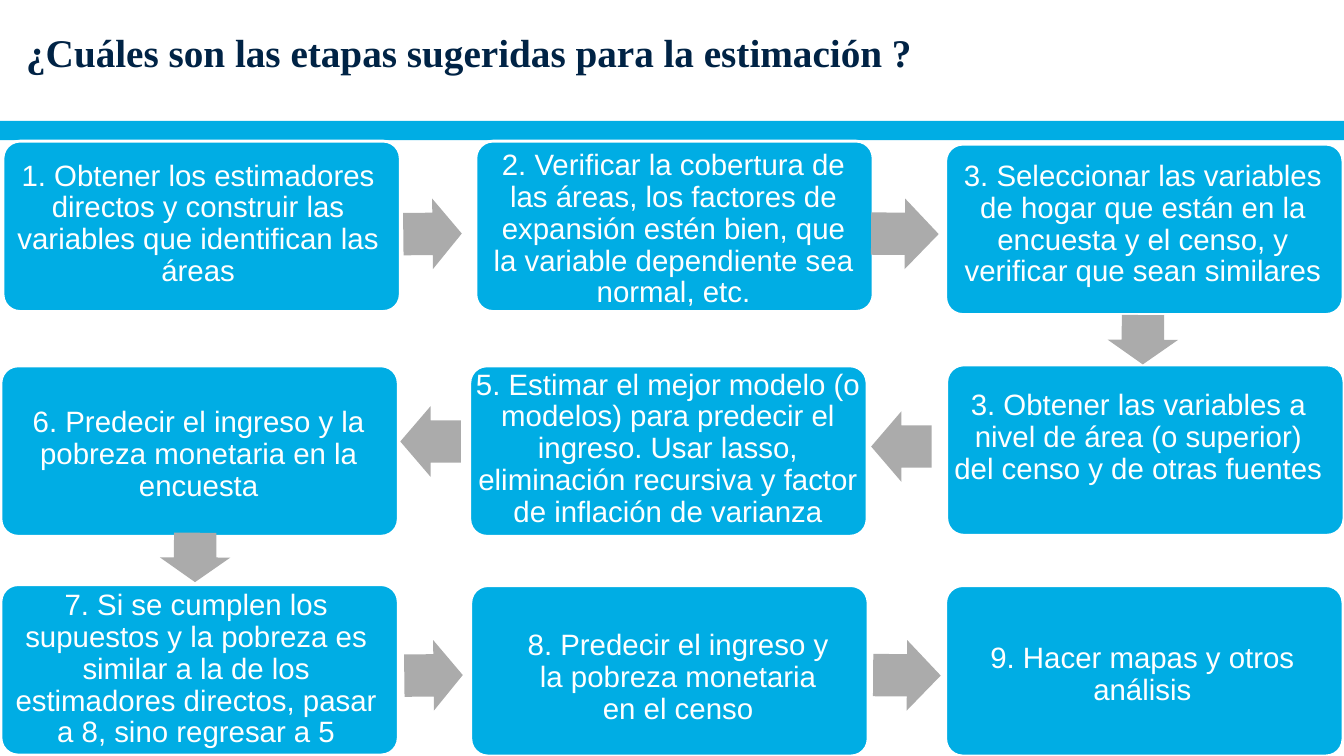
from pptx import Presentation
from pptx.dml.color import RGBColor
from pptx.enum.shapes import MSO_SHAPE
from pptx.enum.text import MSO_ANCHOR, PP_ALIGN
from pptx.util import Inches, Pt

CYAN = RGBColor(0x00, 0xAD, 0xE4)
GRAY = RGBColor(0xAB, 0xAB, 0xAB)
NAVY = RGBColor(0x00, 0x23, 0x45)
WHITE = RGBColor(0xFF, 0xFF, 0xFF)
RECTANGLE = MSO_SHAPE.RECTANGLE
ROUNDED = MSO_SHAPE.ROUNDED_RECTANGLE
RIGHT_ARROW = MSO_SHAPE.RIGHT_ARROW
MIDDLE, BOTTOM = MSO_ANCHOR.MIDDLE, MSO_ANCHOR.BOTTOM
LEFT, CENTER = PP_ALIGN.LEFT, PP_ALIGN.CENTER

STEP_WIDTH, STEP_HEIGHT = 3.94, 1.69
ARROW_BREADTH = 0.7

STEPS = [
    ("1. Obtener los estimadores directos y construir las variables que identifican las áreas",
     (0.03, 1.4), (0.01, 1.36, 3.91, 1.73)),
    ("2. Verificar la cobertura de las áreas, los factores de expansión estén bien, "
     "que la variable dependiente sea normal, etc.",
     (4.72, 1.4), (4.76, 1.48, 3.84, 1.6)),
    ("3. Seleccionar las variables de hogar que están en la encuesta y el censo, "
     "y verificar que sean similares",
     (9.38, 1.43), (9.43, 1.48, 3.81, 1.5)),
    ("3. Obtener las variables a nivel de área (o superior) del censo y de otras fuentes",
     (9.39, 3.62), (9.37, 3.55, 3.84, 1.59)),
    ("5. Estimar el mejor modelo (o modelos) para predecir el ingreso. Usar lasso, "
     "eliminación recursiva y factor de inflación de varianza",
     (4.66, 3.63), (4.61, 3.66, 4.03, 1.59)),
    ("6. Predecir el ingreso y la pobreza monetaria en la encuesta",
     (0.01, 3.63), (0.03, 3.71, 3.88, 1.61)),
    ("7. Si se cumplen los supuestos y la pobreza es similar a la de los estimadores "
     "directos, pasar a 8, sino regresar a 5",
     (0.01, 5.8), (-0.05, 5.85, 3.99, 1.59)),
    ("8. Predecir el ingreso y la pobreza monetaria en el censo",
     (4.67, 5.81), (5.1, 5.93, 3.25, 1.59)),
    ("9. Hacer mapas y otros análisis",
     (9.38, 5.81), (9.41, 5.9, 3.84, 1.6)),
]

ARROWS = [
    (4, 1.97, 0.58, 359.4),
    (8.64, 1.97, 0.67, 0.4),
    (11.09, 3.02, 0.49, 90.2),
    (8.64, 4.08, 0.6, 180),
    (3.97, 4.03, 0.6, 180),
    (1.69, 5.18, 0.49, 90.2),
    (4.01, 6.35, 0.58, 359.4),
    (8.66, 6.35, 0.67, 0.4),
]


def add_block(slide, preset, box, fill, adjustments=(), rotation=0):
    block = slide.shapes.add_shape(preset, *map(Inches, box))
    block.shadow.inherit = False
    block.fill.solid()
    block.fill.fore_color.rgb = fill
    block.line.fill.background()
    block.rotation = rotation
    for index, value in enumerate(adjustments):
        block.adjustments[index] = value
    return block


def add_text(slide, text, box, *, size=21, font="Arial", color=WHITE, bold=False,
             align=CENTER, anchor=MIDDLE, inset=0.09, spacing=0.9):
    frame = slide.shapes.add_textbox(*map(Inches, box)).text_frame
    frame.word_wrap = True
    frame.vertical_anchor = anchor
    frame.margin_left = frame.margin_right = Inches(inset)
    frame.margin_top = frame.margin_bottom = Inches(inset)
    paragraph = frame.paragraphs[0]
    paragraph.alignment = align
    paragraph.line_spacing = spacing
    run = paragraph.add_run()
    run.text = text
    run.font.size = Pt(size)
    run.font.name = font
    run.font.bold = bold
    run.font.color.rgb = color


def add_step(slide, text, corner, text_box):
    card = add_block(slide, ROUNDED, (*corner, STEP_WIDTH, STEP_HEIGHT), CYAN, [0.1])
    card.line.color.rgb = WHITE
    card.line.width = Pt(2)
    add_text(slide, text, text_box)


def add_arrow(slide, left, top, length, rotation):
    add_block(slide, RIGHT_ARROW, (left, top, length, ARROW_BREADTH), GRAY,
              [0.6, 0.5], rotation)


def main():
    deck = Presentation()
    deck.slide_width, deck.slide_height = Inches(13.33), Inches(7.5)
    slide = deck.slides.add_slide(deck.slide_layouts[6])
    add_block(slide, RECTANGLE, (0, 1.2, 13.33, 0.19), CYAN)
    add_text(slide, "¿Cuáles son las etapas sugeridas para la estimación ?",
             (0.26, 0.11, 12.34, 0.64), size=28, font="Times New Roman", color=NAVY,
             bold=True, align=LEFT, anchor=BOTTOM, inset=0, spacing=1)
    for step in STEPS:
        add_step(slide, *step)
    for arrow in ARROWS:
        add_arrow(slide, *arrow)
    deck.save("out.pptx")


if __name__ == "__main__":
    main()
